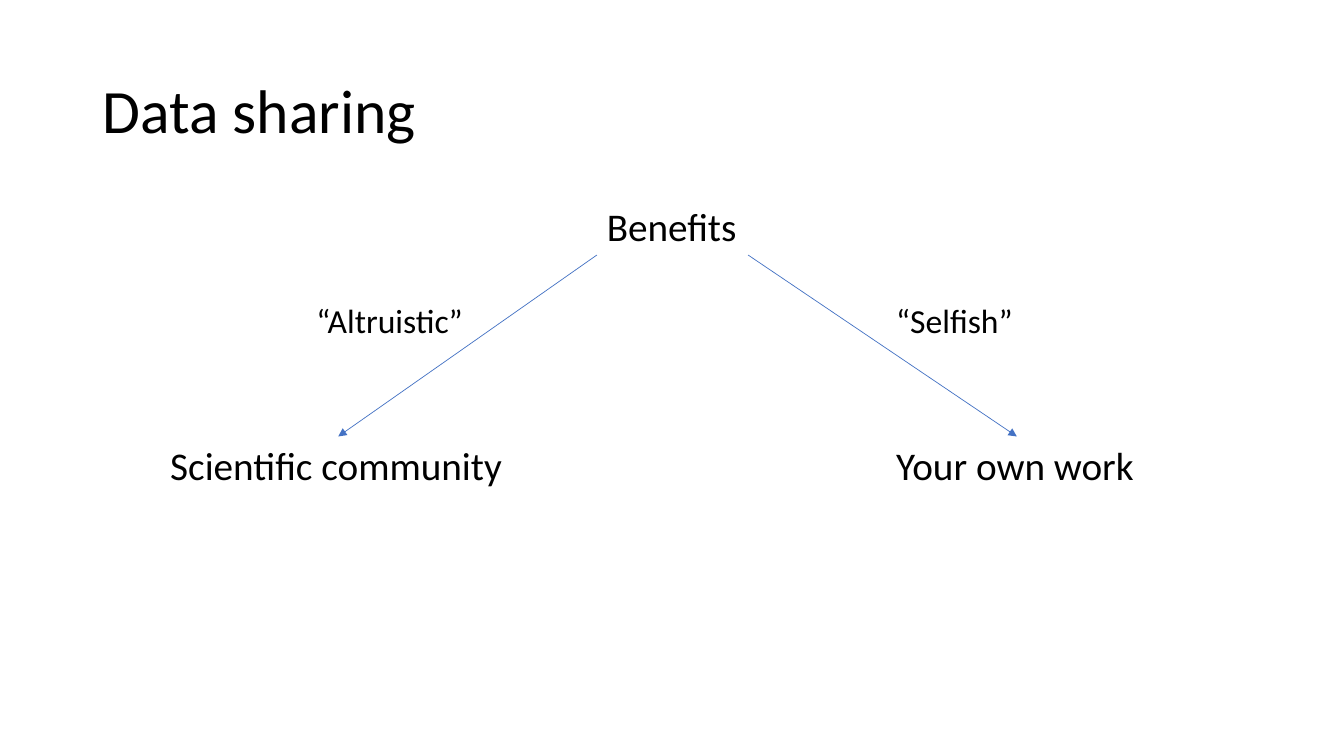
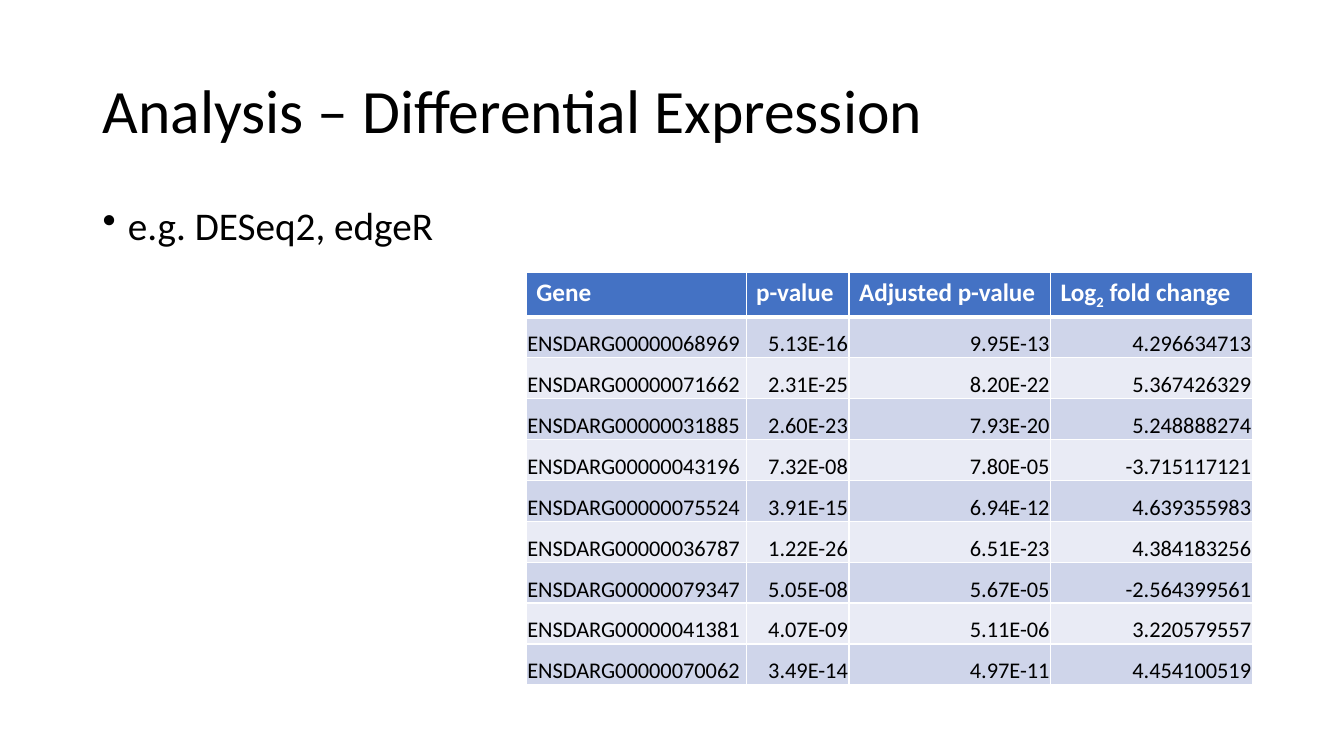
import dataclasses

import lxml.etree
import pptx
import pptx.dml.color
import pptx.enum.shapes
import pptx.enum.text
import pptx.oxml
import pptx.oxml.ns
import pptx.util

Inches = pptx.util.Inches
Pt = pptx.util.Pt
qn = pptx.oxml.ns.qn
ANCHOR = pptx.enum.text.MSO_ANCHOR
ALIGN = pptx.enum.text.PP_ALIGN


@dataclasses.dataclass(frozen=True)
class Theme:
    font: str = "Calibri"
    text: str = "000000"
    light: str = "FFFFFF"
    accent: str = "4472C4"
    bands: tuple = ("CFD5EA", "E9EBF5")
    title: int = 44
    body: int = 28
    label: int = 24
    header: int = 18
    cell: int = 16


THEME = Theme()
TITLE_BOX = (0.92, 0.4, 11.5, 1.45)

HEADERS = [["Gene"], ["p-value"], ["Adjusted p-value"], ["Log", "2", " fold change"]]
COLUMN_SHARES = [2.18, 1.02, 2, 2]
GENES = [
    ("ENSDARG00000068969", "5.13E-16", "9.95E-13", "4.296634713"),
    ("ENSDARG00000071662", "2.31E-25", "8.20E-22", "5.367426329"),
    ("ENSDARG00000031885", "2.60E-23", "7.93E-20", "5.248888274"),
    ("ENSDARG00000043196", "7.32E-08", "7.80E-05", "-3.715117121"),
    ("ENSDARG00000075524", "3.91E-15", "6.94E-12", "4.639355983"),
    ("ENSDARG00000036787", "1.22E-26", "6.51E-23", "4.384183256"),
    ("ENSDARG00000079347", "5.05E-08", "5.67E-05", "-2.564399561"),
    ("ENSDARG00000041381", "4.07E-09", "5.11E-06", "3.220579557"),
    ("ENSDARG00000070062", "3.49E-14", "4.97E-11", "4.454100519"),
]


def rgb(color):
    return pptx.dml.color.RGBColor.from_string(color)


def style(p, size, color=THEME.text, bold=False):
    p.font.name = THEME.font
    p.font.size = Pt(size)
    p.font.bold = bold
    p.font.color.rgb = rgb(color)


def add_text(s, box, text, size, wrap=True):
    tf = s.shapes.add_textbox(*map(Inches, box)).text_frame
    tf.word_wrap = wrap
    if not wrap:
        tf.auto_size = pptx.enum.text.MSO_AUTO_SIZE.SHAPE_TO_FIT_TEXT
    p = tf.paragraphs[0]
    p.text = text
    style(p, size)
    return tf


def add_title(s, text):
    tf = add_text(s, TITLE_BOX, text, THEME.title)
    tf.vertical_anchor = ANCHOR.MIDDLE
    tf.paragraphs[0].line_spacing = 0.9


def add_bullet(s, box, text):
    p = add_text(s, box, text, THEME.body).paragraphs[0]
    p.line_spacing = 0.9
    p.space_before = Pt(10)
    pPr = p._p.get_or_add_pPr()
    pPr.set("marL", str(Inches(0.25)))
    pPr.set("indent", str(-Inches(0.25)))
    bullet = pptx.oxml.parse_xml(
        '<a:buChar xmlns:a="http://schemas.openxmlformats.org/drawingml/2006/main" char="•"/>'
    )
    pPr.find(qn("a:defRPr")).addprevious(bullet)


def add_arrow(s, start, end):
    kind = pptx.enum.shapes.MSO_CONNECTOR.STRAIGHT
    arrow = s.shapes.add_connector(kind, *map(Inches, (*start, *end)))
    arrow.line.color.rgb = rgb(THEME.accent)
    arrow.line.width = Pt(0.5)
    ln = arrow.line._get_or_add_ln()
    lxml.etree.SubElement(ln, qn("a:tailEnd"), type="triangle")
    lxml.etree.SubElement(arrow._element.spPr, qn("a:effectLst"))


def add_benefits(s, box):
    left, top, width, height = box
    root_x, root_w, line_h, motive_h = left + 4.33, 1.5, 0.57, 0.5
    outcome_y = top + height - line_h
    add_text(s, (root_x, top, root_w, line_h), "Benefits", THEME.body, wrap=False)
    branches = [
        ("Scientific community", left, 3.53, "“Altruistic”", left + 1.45, 1.69, root_x),
        ("Your own work", left + width - 2.59, 2.59,
         "“Selfish”", left + width - 2.59, 1.37, root_x + root_w),
    ]
    for outcome, x, w, motive, motive_x, motive_w, start_x in branches:
        add_text(s, (x, outcome_y, w, line_h), outcome, THEME.body, wrap=False)
        add_arrow(s, (start_x, top + line_h), (x + w / 2, outcome_y))
        add_text(s, (motive_x, top + 0.97, motive_w, motive_h), motive, THEME.label, wrap=False)


def set_borders(cell, bottom):
    tcPr = cell._tc.get_or_add_tcPr()
    for side, width in (("L", 1), ("R", 1), ("T", 1), ("B", bottom)):
        ln = lxml.etree.SubElement(tcPr, qn("a:ln" + side), w=str(Pt(width)))
        fill = lxml.etree.SubElement(ln, qn("a:solidFill"))
        lxml.etree.SubElement(fill, qn("a:srgbClr"), val=THEME.light)


def fill_cell(cell, color, bottom=1):
    set_borders(cell, bottom)
    cell.fill.solid()
    cell.fill.fore_color.rgb = rgb(color)


def add_header_cell(cell, parts):
    fill_cell(cell, THEME.accent, bottom=3)
    p = cell.text_frame.paragraphs[0]
    style(p, THEME.header, THEME.light, bold=True)
    for i, part in enumerate(parts):
        r = p.add_run()
        r.text = part
        if i == 1:
            r._r.get_or_add_rPr().set("baseline", "-25000")


def add_value_cell(cell, text, color, align):
    fill_cell(cell, color)
    cell.vertical_anchor = ANCHOR.BOTTOM
    cell.margin_left = cell.margin_right = cell.margin_top = Inches(0.01)
    cell.margin_bottom = 0
    p = cell.text_frame.paragraphs[0]
    p.text = text
    p.alignment = align
    style(p, THEME.cell)


def add_gene_table(s, box):
    rows = len(GENES) + 1
    table = s.shapes.add_table(rows, len(HEADERS), *map(Inches, box)).table
    table.horz_banding = False
    for column, share in zip(table.columns, COLUMN_SHARES):
        column.width = Inches(box[2] * share / sum(COLUMN_SHARES))
    for row in table.rows:
        row.height = Inches(box[3] / rows)
    for c, parts in enumerate(HEADERS):
        add_header_cell(table.cell(0, c), parts)
    for i, gene in enumerate(GENES):
        for c, value in enumerate(gene):
            align = ALIGN.RIGHT if c else ALIGN.LEFT
            add_value_cell(table.cell(i + 1, c), value, THEME.bands[i % 2], align)


def sharing_slide(s):
    add_title(s, "Data sharing")
    add_benefits(s, (1.59, 1.96, 9.79, 2.94))


def expression_slide(s):
    add_title(s, "Analysis – Differential Expression")
    add_bullet(s, (0.92, 2, 3.84, 4.76), "e.g. DESeq2, edgeR")
    add_gene_table(s, (5.22, 2.7, 7.2, 4.06))


def main():
    prs = pptx.Presentation()
    prs.slide_width = Inches(13.33)
    prs.slide_height = Inches(7.5)
    for build in (sharing_slide, expression_slide):
        build(prs.slides.add_slide(prs.slide_layouts[6]))
    prs.save("out.pptx")


if __name__ == "__main__":
    main()
